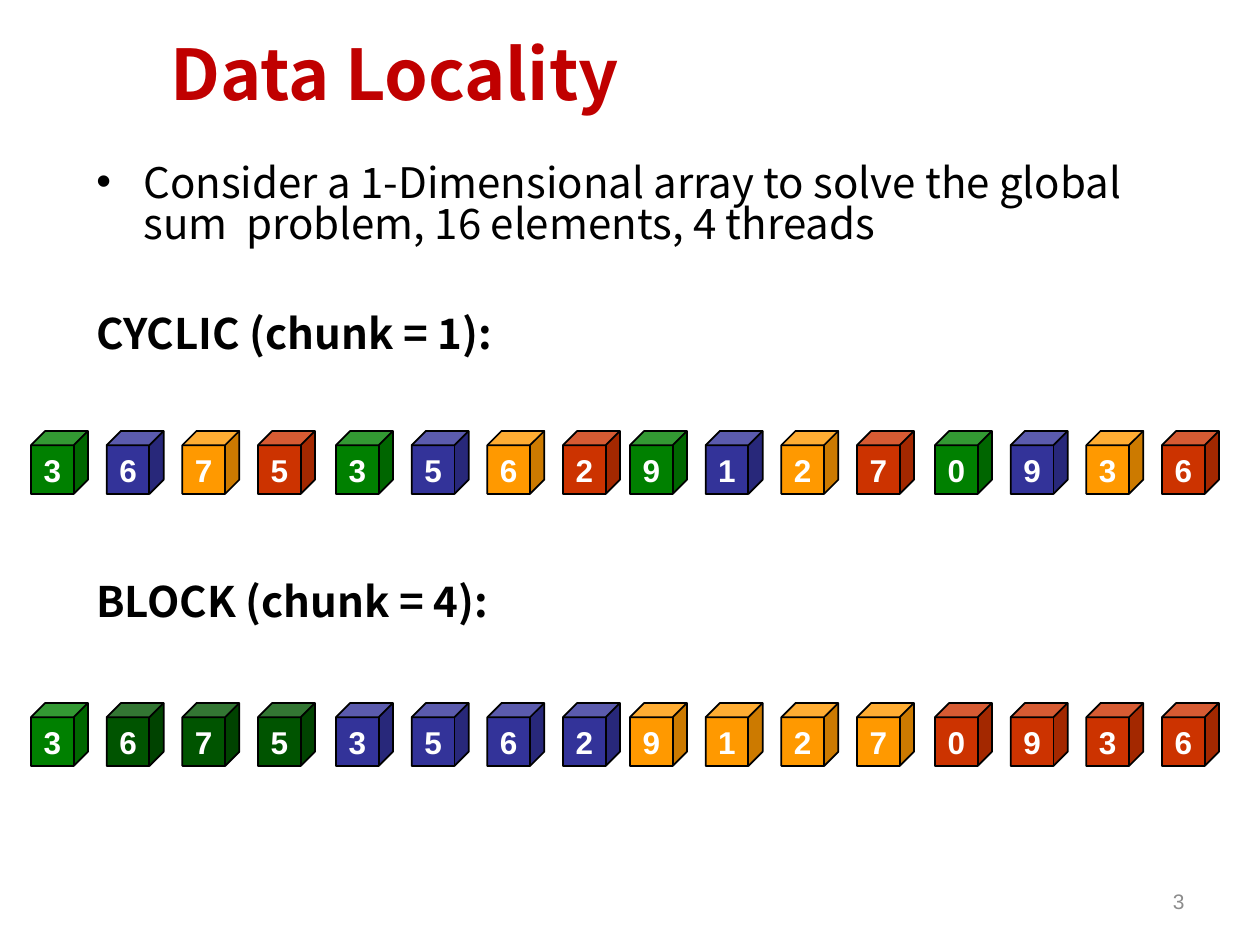
from lxml.etree import SubElement
from pptx import Presentation
from pptx.dml.color import RGBColor
from pptx.enum.shapes import MSO_SHAPE
from pptx.enum.text import MSO_ANCHOR, PP_ALIGN
from pptx.oxml.ns import qn
from pptx.util import Inches, Pt

PX = Inches(1) / 126
BLACK = RGBColor(0x00, 0x00, 0x00)
WHITE = RGBColor(0xFF, 0xFF, 0xFF)
GRAY = RGBColor(0x8C, 0x8C, 0x8C)
TITLE_RED = RGBColor(0xC0, 0x00, 0x00)
GREEN = RGBColor(0x00, 0x80, 0x00)
DARK_GREEN = RGBColor(0x00, 0x54, 0x00)
BLUE = RGBColor(0x33, 0x33, 0x99)
ORANGE = RGBColor(0xFF, 0x99, 0x00)
RED = RGBColor(0xCC, 0x33, 0x00)

CHUNKS = ["3675", "3562", "9127", "0936"]
CYCLIC_COLORS = [[GREEN, BLUE, ORANGE, RED]] * 4
BLOCK_COLORS = [[GREEN] + [DARK_GREEN] * 3, [BLUE] * 4, [ORANGE] * 4, [RED] * 4]
CHUNK_OFFSETS = [0, 305, 599, 904]
CHUNK_WIDTH = 284
CUBE_WIDTH = 57


def emu(pixels):
    return round(pixels * PX)


def write(paragraph, text, font="Arial", size=18, color=BLACK, bold=False,
          align=PP_ALIGN.LEFT, before=0, spacing=None):
    paragraph.alignment = align
    paragraph.space_before = Pt(before)
    if spacing:
        paragraph.line_spacing = spacing
    run = paragraph.add_run()
    run.text = text
    run.font.name = font
    run.font.size = Pt(size)
    run.font.bold = bold
    run.font.color.rgb = color
    SubElement(run.font._element, qn("a:ea"), typeface=font)


def add_frame(slide, box, anchor=MSO_ANCHOR.MIDDLE):
    frame = slide.shapes.add_textbox(*map(emu, box)).text_frame
    frame.word_wrap = True
    frame.vertical_anchor = anchor
    return frame


def add_title(slide, box):
    write(add_frame(slide, box).paragraphs[0], "Data Locality",
          font="Noto Sans CJK KR", size=40, color=TITLE_RED, bold=True)


def add_body(slide, box):
    frame = add_frame(slide, box, MSO_ANCHOR.TOP)
    style = {"font": "Noto Sans CJK SC", "size": 24, "spacing": 0.82}
    intro = frame.paragraphs[0]
    write(intro, "Consider a 1-Dimensional array to solve the global "
          "sum  problem, 16 elements, 4 threads", before=5, **style)
    properties = intro._p.get_or_add_pPr()
    properties.set("marL", str(emu(47)))
    properties.set("indent", str(-emu(47)))
    SubElement(properties, qn("a:buFont"), typeface="Arial")
    SubElement(properties, qn("a:buChar"), char="•")
    for heading, before in [("CYCLIC (chunk = 1):", 39), ("BLOCK (chunk = 4):", 130)]:
        write(frame.add_paragraph(), heading, bold=True, before=before, **style)


def add_cube(group, box, digit, color):
    cube = group.shapes.add_shape(MSO_SHAPE.CUBE, *map(emu, box))
    cube.shadow.inherit = False
    cube.adjustments[0] = 0.25
    cube.fill.solid()
    cube.fill.fore_color.rgb = color
    cube.line.color.rgb = BLACK
    cube.line.width = Pt(1)
    frame = cube.text_frame
    frame.margin_left = frame.margin_right = frame.margin_top = frame.margin_bottom = 0
    frame.vertical_anchor = MSO_ANCHOR.MIDDLE
    frame.word_wrap = False
    write(frame.paragraphs[0], digit, color=WHITE, bold=True, align=PP_ALIGN.CENTER)


def add_array(slide, box, color_chunks):
    left, top, _, height = box
    group = slide.shapes.add_group_shape()
    for offset, digits, colors in zip(CHUNK_OFFSETS, CHUNKS, color_chunks):
        step = (CHUNK_WIDTH - CUBE_WIDTH) / (len(digits) - 1)
        for index, (digit, color) in enumerate(zip(digits, colors)):
            cube_left = left + offset + index * step
            add_cube(group, (cube_left, top, CUBE_WIDTH, height), digit, color)


def add_slide_number(slide, box):
    write(add_frame(slide, box).paragraphs[0], "3", size=12, color=GRAY,
          align=PP_ALIGN.RIGHT)


def main():
    presentation = Presentation()
    presentation.slide_width = Inches(10)
    presentation.slide_height = Inches(7.5)
    slide = presentation.slides.add_slide(presentation.slide_layouts[6])
    add_title(slide, (158, 0, 1079, 144))
    add_slide_number(slide, (903, 876, 294, 50))
    add_body(slide, (84, 159, 1103, 733))
    add_array(slide, (31, 431, 1188, 63), CYCLIC_COLORS)
    add_array(slide, (31, 703, 1188, 63), BLOCK_COLORS)
    presentation.save("out.pptx")


if __name__ == "__main__":
    main()
